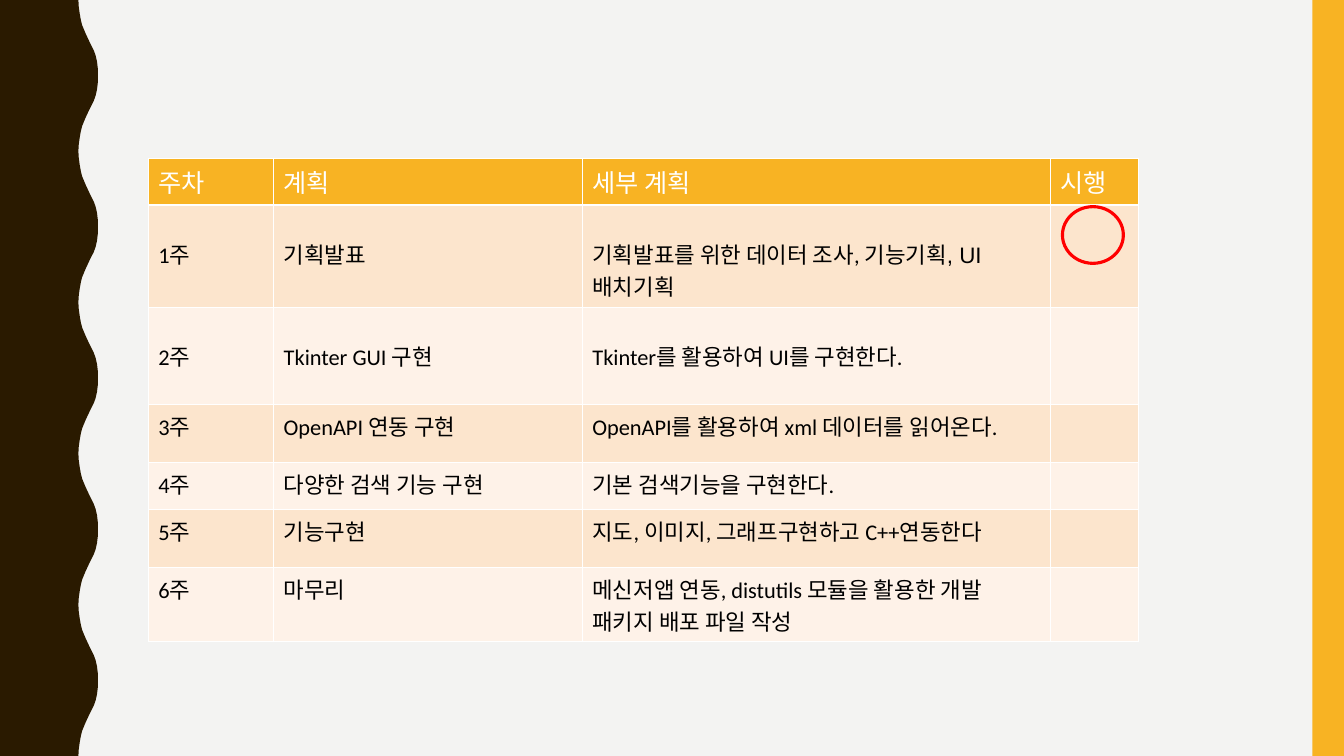
from lxml import etree
from pptx import Presentation
from pptx import util as u
from pptx.dml.color import RGBColor
from pptx.enum import shapes
from pptx.oxml import ns

COLORS = {
    "page": "F3F3F2", "wave": "2A1A00", "accent": "F8B323",
    "odd": "FCE5CD", "even": "FEF2E8", "white": "FFFFFF",
    "text": "000000", "mark": "FF0000",
}
WIDTH, HEIGHT = 960, 540


def paint(fill, name):
    """Make a fill solid in a named colour."""
    fill.solid()
    fill.fore_color.rgb = RGBColor.from_string(COLORS[name])


def add_borders(cell):
    """Give all four sides of a cell a thin white line."""
    properties = cell._tc.get_or_add_tcPr()
    for index, side in enumerate(("lnL", "lnR", "lnT", "lnB")):
        line = etree.Element(ns.qn("a:" + side), w=str(u.Pt(1)))
        solid = etree.SubElement(line, ns.qn("a:solidFill"))
        etree.SubElement(solid, ns.qn("a:srgbClr"), val=COLORS["white"])
        properties.insert(index, line)


deck = Presentation()
deck.slide_width, deck.slide_height = u.Pt(WIDTH), u.Pt(HEIGHT)
page = deck.slides.add_slide(deck.slide_layouts[6])
paint(page.background.fill, "page")

# Wavy left band: half a wave, mirrored and repeated down the page
PERIOD = 108
half_wave = [(56, 0), (56.3, 5), (57, 10), (57.8, 14.4), (58.7, 18),
             (61.2, 24), (64, 30), (67, 36), (68.3, 39.6), (69.3, 44),
             (69.9, 49), (70, 54)]
full_wave = half_wave + [(x, PERIOD - y) for x, y in reversed(half_wave[:-1])]
edge = [(x, y + PERIOD * turn) for turn in range(HEIGHT // PERIOD)
        for x, y in full_wave]
outline = page.shapes.build_freeform(0, 0, scale=1.0)
outline.add_line_segments(
    [(u.Pt(x), u.Pt(y)) for x, y in edge + [(0, HEIGHT)]], close=True)
wave = outline.convert_to_shape()

stripe = page.shapes.add_shape(
    shapes.MSO_SHAPE.RECTANGLE, u.Pt(937.5), 0, u.Pt(22.5), u.Pt(HEIGHT))
for band, color in ((wave, "wave"), (stripe, "accent")):
    paint(band.fill, color)
    band.line.fill.background()
    band.shadow.inherit = False

# Weekly plan: each cell is a list of (text, font) runs
LATIN, SANS = "Calibri", "Arial"
plan = [
    [[("주차", LATIN)], [("계획", LATIN)], [("세부 계획", LATIN)],
     [("시행", LATIN)]],
    [[("1주", LATIN)], [("기획발표", LATIN)],
     [("기획발표를 위한 데이터 조사, ", LATIN),
      ("기능기획, UI 배치기획", SANS)], []],
    [[("2주", LATIN)], [("Tkinter GUI 구현", LATIN)],
     [("Tkinter를 활용하여 UI를 구현한다.", LATIN)], []],
    [[("3주", LATIN)], [("OpenAPI 연동 구현", LATIN)],
     [("OpenAPI를 활용하여 xml 데이터를 읽어온다.", LATIN)], []],
    [[("4주", LATIN)], [("다양한 검색 기능 구현", LATIN)],
     [("기본 검색기능을 구현한다.", LATIN)], []],
    [[("5주", LATIN)], [("기능구현", LATIN)],
     [("지도, 이미지, 그래프구현하고 C++연동한다", LATIN)], []],
    [[("6주", LATIN)], [("마무리", LATIN)],
     [("메신저앱 연동, distutils 모듈을 활용한 개발 패키지 배포 파일 작성",
       LATIN)], []],
]
column_widths = [89.5, 220.5, 334.5, 63]
row_heights = [33.5, 73, 69.3, 41.4, 33.6, 41.4, 53]
lowered_rows = (1, 2)

frame = page.shapes.add_table(
    len(plan), len(column_widths), u.Pt(106), u.Pt(113),
    u.Pt(sum(column_widths)), u.Pt(sum(row_heights)))
table = frame.table
for column, width in zip(table.columns, column_widths):
    column.width = u.Pt(width)
for number, (row, height) in enumerate(zip(table.rows, row_heights)):
    row.height = u.Pt(height)
    header = number == 0
    fill = "accent" if header else "odd" if number % 2 else "even"
    for cell, runs in zip(row.cells, plan[number]):
        paint(cell.fill, fill)
        add_borders(cell)
        if number in lowered_rows and runs:
            cell.margin_top = u.Pt(23)
        para = cell.text_frame.paragraphs[0]
        para.font.size = u.Pt(18 if header else 16)
        for words, font in runs:
            span = para.add_run()
            span.text = words
            span.font.name = font
            span.font.size = u.Pt(18 if header else 16)
            span.font.bold = False
            span.font.color.rgb = RGBColor.from_string(
                COLORS["white" if header else "text"])

# Ring marking the first week as done
ring = page.shapes.add_shape(
    shapes.MSO_SHAPE.OVAL, u.Pt(758.9), u.Pt(147.6), u.Pt(43.5), u.Pt(40.5))
ring.fill.background()
ring.line.color.rgb = RGBColor.from_string(COLORS["mark"])
ring.line.width = u.Pt(2.25)
ring.shadow.inherit = False

deck.save("out.pptx")
